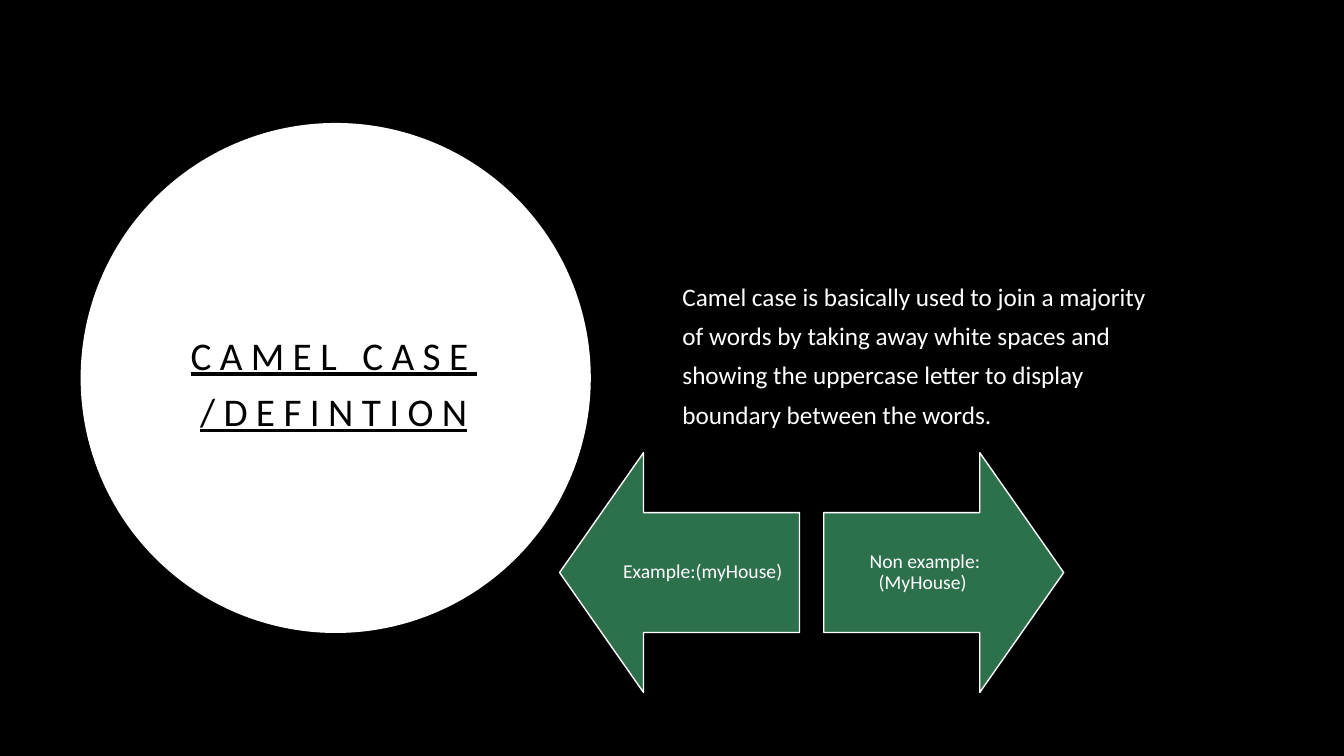
from pptx import Presentation
from pptx.dml.color import RGBColor
from pptx.enum import shapes, text
from pptx.util import Inches, Pt

BLACK = RGBColor(0x00, 0x00, 0x00)
WHITE = RGBColor(0xFF, 0xFF, 0xFF)
GREEN = RGBColor(0x2D, 0x71, 0x4C)
KIND = shapes.MSO_SHAPE
ALIGN = text.PP_ALIGN


def write(shape, words, size, color=WHITE, align=ALIGN.CENTER, line=1.0,
          before=0, under=False, track=0, inset=(0.1, 0.05, 0.1, 0.05)):
    """Fill a shape with one paragraph; inset is left, top, right, bottom in inches."""
    frame = shape.text_frame
    frame.word_wrap = True
    frame.vertical_anchor = text.MSO_ANCHOR.MIDDLE
    (frame.margin_left, frame.margin_top,
     frame.margin_right, frame.margin_bottom) = map(Inches, inset)
    para = frame.paragraphs[0]
    para.alignment = align
    para.line_spacing = line
    para.space_before = Pt(before)
    run = para.add_run()
    run.text = words
    font = run.font
    font.name = "Calibri"
    font.size = Pt(size)
    font.color.rgb = color
    font.underline = under
    if track:
        run._r.get_or_add_rPr().set("spc", str(track * 100))


def add_box(slide, *place):
    return slide.shapes.add_textbox(*map(Inches, place))


def add_shape(slide, kind, place, fill, edge=None):
    shape = slide.shapes.add_shape(kind, *map(Inches, place))
    shape.shadow.inherit = False
    shape.fill.solid()
    shape.fill.fore_color.rgb = fill
    if edge is None:
        shape.line.fill.background()
    else:
        shape.line.color.rgb = edge
        shape.line.width = Pt(1)
    return shape


def add_arrow(slide, kind, left, words):
    arrow = add_shape(slide, kind, (left, 4.49, 2.38, 2.38), GREEN, WHITE)
    arrow.adjustments[0] = 0.5
    arrow.adjustments[1] = 0.35
    write(arrow, words, 14, line=0.9, inset=(0.11,) * 4)


def main():
    deck = Presentation()
    deck.slide_width = Inches(13.33)
    deck.slide_height = Inches(7.5)
    slide = deck.slides.add_slide(deck.slide_layouts[6])
    back = slide.background.fill
    back.solid()
    back.fore_color.rgb = BLACK

    add_shape(slide, KIND.OVAL, (0.8, 1.22, 5.06, 5.06), WHITE)
    title = add_box(slide, 1.14, 2.5, 4.34, 2.5)
    write(title, "CAMEL CASE /DEFINTION", 28, BLACK, line=1.2, under=True, track=6)

    body = add_box(slide, 6.67, 0.83, 5, 5.83)
    write(body, "Camel case is basically used to join a majority of words by taking "
          "away white spaces and showing the uppercase letter to display "
          "boundary between the words.",
          18, align=ALIGN.LEFT, line=1.3, before=10, inset=(0.1, 0.05, 0.1, 0.58))

    add_arrow(slide, KIND.LEFT_ARROW, 5.55, " Example:(myHouse)")
    add_arrow(slide, KIND.RIGHT_ARROW, 8.17, " Non example: (MyHouse)")
    deck.save("out.pptx")


if __name__ == "__main__":
    main()
